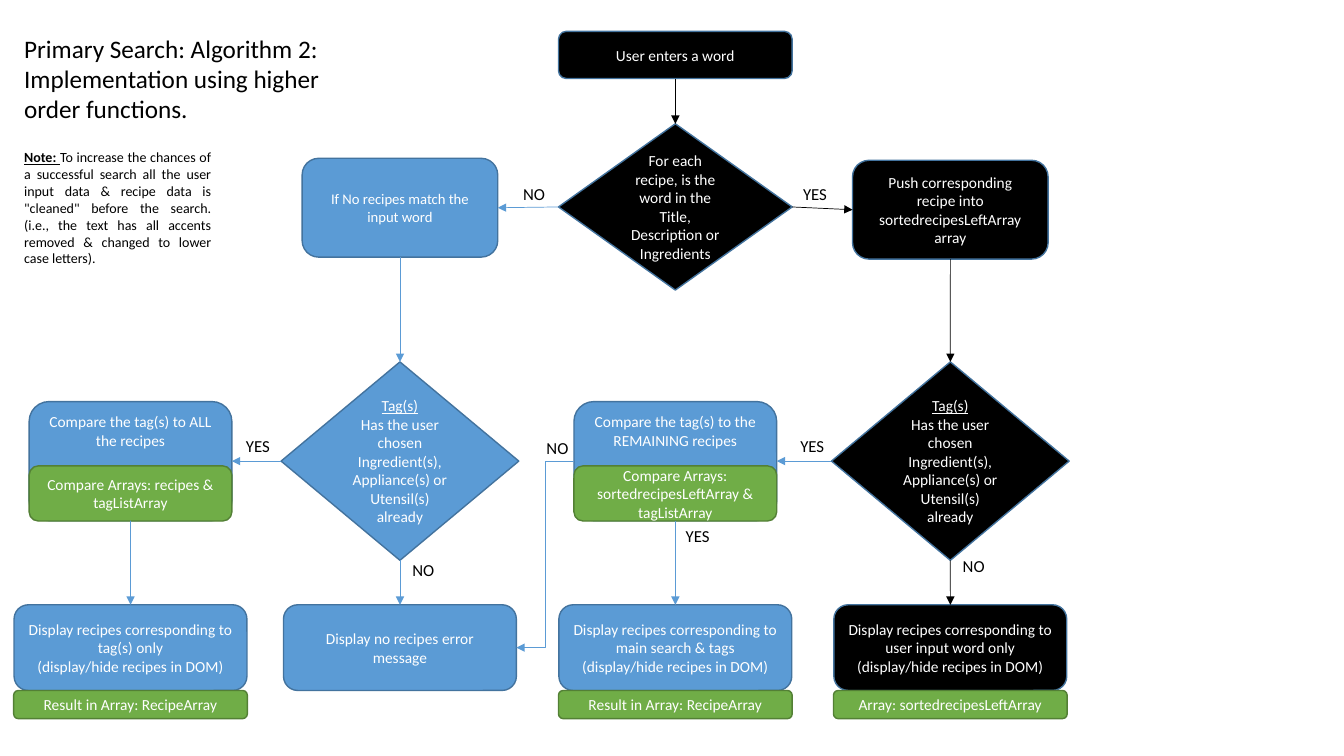
from dataclasses import dataclass
from lxml.etree import SubElement
from pptx import Presentation
from pptx.dml.color import RGBColor as Rgb
from pptx.enum.shapes import MSO_CONNECTOR as Link, MSO_SHAPE as Kind
from pptx.enum.text import MSO_ANCHOR as Anchor, PP_ALIGN as Align
from pptx.oxml.ns import qn
from pptx.util import Cm, Pt

TOP, LEFT, BOTTOM, RIGHT = range(4)


@dataclass(frozen=True)
class Theme:
    font: str = "Calibri"
    black: Rgb = Rgb(0, 0, 0)
    white: Rgb = Rgb(255, 255, 255)
    blue: Rgb = Rgb(0x5B, 0x9B, 0xD5)
    blue_edge: Rgb = Rgb(0x43, 0x73, 0x9E)
    green: Rgb = Rgb(0x70, 0xAD, 0x47)
    green_edge: Rgb = Rgb(0x53, 0x80, 0x35)
    title_size: float = 18
    label_size: float = 12
    box_size: float = 11
    small_size: float = 10.5
    note_size: float = 10
    edge_width: float = 1
    arrow_width: float = 0.5


class FlowChart:
    """Draws on one slide; centres, tops and sizes are in centimetres."""

    def __init__(self, slide, theme):
        self.shapes = slide.shapes
        self.theme = theme

    def set_text(self, shape, paragraphs, size, color, align, anchor, wrap=True):
        """Each paragraph is a list of (text, extra font values)."""
        frame = shape.text_frame
        for name, value in {"word_wrap": wrap, "vertical_anchor": anchor}.items():
            setattr(frame, name, value)
        for index, runs in enumerate(paragraphs):
            paragraph = frame.add_paragraph() if index else frame.paragraphs[0]
            paragraph.alignment = align
            for text, extra in runs:
                run = paragraph.add_run()
                run.text = text
                run.font.color.rgb = color
                values = {"name": self.theme.font, "size": Pt(size), **extra}
                for name, value in values.items():
                    setattr(run.font, name, value)

    def box(self, center, top, size, lines, fill, kind=Kind.ROUNDED_RECTANGLE,
            text_size=None, anchor=Anchor.MIDDLE, heading=None):
        theme = self.theme
        width, height = size
        shape = self.shapes.add_shape(kind, Cm(center - width / 2), Cm(top), Cm(width), Cm(height))
        shape.shadow.inherit = False
        shape.fill.solid()
        shape.fill.fore_color.rgb = fill
        shape.line.color.rgb = theme.green_edge if fill == theme.green else theme.blue_edge
        shape.line.width = Pt(theme.edge_width)
        paragraphs = [[(heading, {"underline": True})]] if heading else []
        paragraphs += [[(line, {})] for line in lines]
        self.set_text(shape, paragraphs, text_size or theme.box_size, theme.white,
                      Align.CENTER, anchor)
        return shape

    def text(self, left, top, size, paragraphs, text_size, align=Align.LEFT, wrap=True):
        shape = self.shapes.add_textbox(Cm(left), Cm(top), Cm(size[0]), Cm(size[1]))
        self.set_text(shape, paragraphs, text_size, self.theme.black, align, Anchor.TOP, wrap)

    def label(self, center, top, word):
        width, height = 1.17, 0.76
        self.text(center - width / 2, top, (width, height), [[(word, {})]],
                  self.theme.label_size, Align.CENTER, wrap=False)

    def arrow(self, start, start_side, end, end_side, color, kind=Link.STRAIGHT):
        connector = self.shapes.add_connector(kind, 0, 0, 0, 0)
        connector.begin_connect(start, start_side)
        connector.end_connect(end, end_side)
        connector.line.color.rgb = color
        connector.line.width = Pt(self.theme.arrow_width)
        properties = connector.element.spPr
        SubElement(properties.get_or_add_ln(), qn("a:tailEnd"), type="triangle")
        SubElement(properties, qn("a:effectLst"))


def build_slide(slide):
    theme = Theme()
    chart = FlowChart(slide, theme)
    black, blue, green = theme.black, theme.blue, theme.green

    # Column centres, row tops and box sizes
    all_tags, no_match, main_search, match = 3.29, 10.08, 17.02, 23.95
    tag_top, compare_top, arrays_top, result_top, strip_top = 9.12, 10.12, 11.74, 15.24, 17.4
    branch, question, compare = (4.93, 2.49), (5.99, 5.0), (5.11, 3.0)
    arrays, result, strip = (5.11, 1.39), (5.87, 2.16), (5.89, 0.71)

    # Title and note
    chart.text(0.36, 0.71, (8.43, 2.57),
               [[("Primary Search: Algorithm 2:", {})],
                [("Implementation using higher order functions.", {})]], theme.title_size)
    chart.text(0.36, 3.63, (5.21, 3.25),
               [[("Note: ", {"bold": True, "underline": True}),
                 ("To increase the chances of a successful search all the user input data & "
                  "recipe data is \"cleaned\" before the search. (i.e., the text has all accents "
                  "removed & changed to lower case letters).", {})]],
               theme.note_size, Align.JUSTIFY)

    # Word search
    start = chart.box(main_search, 0.79, (5.89, 1.19), ["User enters a word"], black)
    word = chart.box(main_search, 3.12, (5.89, 4.19),
                     ["For each recipe, is the word in the Title, Description or Ingredients"],
                     black, Kind.DIAMOND)
    missing = chart.box(no_match, 3.99, branch, ["If No recipes match the input word"],
                        blue, text_size=theme.small_size)
    push = chart.box(match, 4.04, branch,
                     ["Push corresponding recipe into sortedrecipesLeftArray", "array"], black)

    # Tag questions
    missing_tags, match_tags = [
        chart.box(center, tag_top, question,
                  ["Has the user chosen", "Ingredient(s), Appliance(s) or Utensil(s) already"],
                  fill, Kind.DIAMOND, heading="Tag(s)")
        for center, fill in ((no_match, blue), (match, black))]

    # Tag comparisons, each with the arrays it uses
    comparisons = []
    for center, line, names in (
            (all_tags, "Compare the tag(s) to ALL the recipes", "recipes"),
            (main_search, "Compare the tag(s) to the REMAINING recipes",
             "sortedrecipesLeftArray")):
        comparisons.append(chart.box(center, compare_top, compare, [line], blue, anchor=Anchor.TOP))
        chart.box(center, arrays_top, arrays, [f"Compare Arrays: {names} &", "tagListArray"], green)
    compare_all, compare_rest = comparisons

    # Results, each with the array it fills
    error = chart.box(no_match, result_top, result, ["Display no recipes error message"], blue)
    shown = []
    for center, subject, array, fill in (
            (all_tags, "tag(s) only", "Result in Array: RecipeArray", blue),
            (main_search, "main search & tags", "Result in Array: RecipeArray", blue),
            (match, "user input word only", "Array: sortedrecipesLeftArray", black)):
        lines = [f"Display recipes corresponding to {subject}", "(display/hide recipes in DOM)"]
        shown.append(chart.box(center, result_top, result, lines, fill))
        chart.box(center, strip_top, strip, [array], green)
    tags_shown, both_shown, word_shown = shown

    # Arrows
    for begin, end, color in (
            (start, word, black), (push, match_tags, black), (match_tags, word_shown, black),
            (missing, missing_tags, blue), (missing_tags, error, blue),
            (compare_all, tags_shown, blue), (compare_rest, both_shown, blue)):
        chart.arrow(begin, BOTTOM, end, TOP, color)
    for begin, end in ((word, missing), (match_tags, compare_rest), (missing_tags, compare_all)):
        chart.arrow(begin, LEFT, end, RIGHT, blue)
    chart.arrow(word, RIGHT, push, LEFT, black)
    chart.arrow(compare_rest, LEFT, error, RIGHT, blue, Link.ELBOW)

    # Answers beside the arrows
    for center, top, answer in (
            (13.46, 4.5, "NO"), (20.54, 4.5, "YES"), (6.5, 10.85, "YES"), (14.05, 10.9, "NO"),
            (20.47, 10.85, "YES"), (10.67, 13.97, "NO"), (17.58, 13.13, "YES"),
            (24.54, 13.87, "NO")):
        chart.label(center, top, answer)


def main():
    presentation = Presentation()
    presentation.slide_width, presentation.slide_height = Cm(33.87), Cm(19.05)
    build_slide(presentation.slides.add_slide(presentation.slide_layouts[6]))
    presentation.save("out.pptx")


if __name__ == "__main__":
    main()
